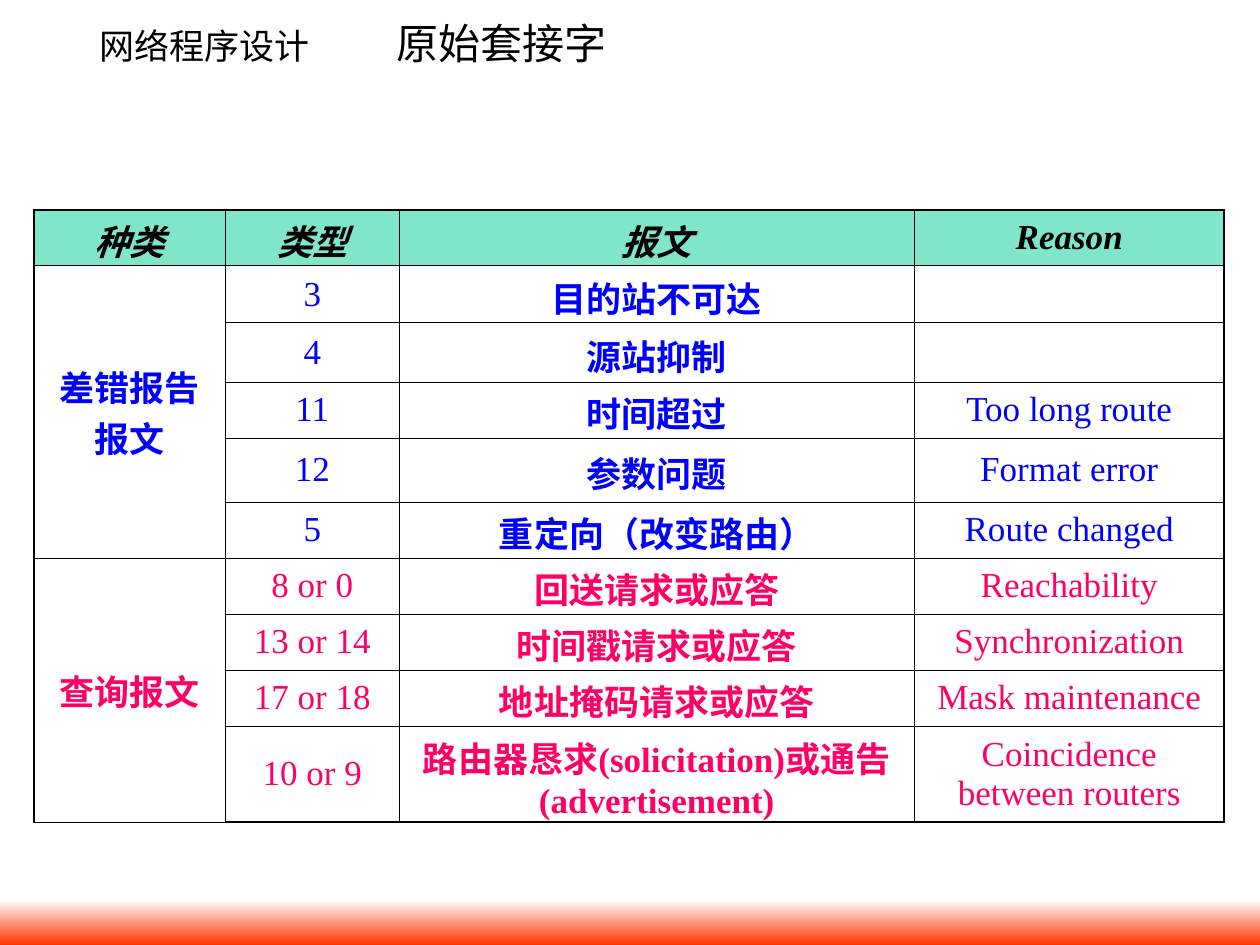
from lxml.etree import SubElement
from pptx import Presentation
from pptx.dml.color import RGBColor
from pptx.enum.shapes import MSO_SHAPE
from pptx.enum.text import MSO_ANCHOR, PP_ALIGN
from pptx.oxml.ns import qn
from pptx.util import Cm, Pt

BLACK, BLUE, PINK = "000000", "0000FF", "FF0066"
LATIN, CHINESE, JAPANESE = "Times New Roman", "Noto Sans CJK SC", "Noto Sans CJK JP"
THIN, THICK = 0.45, 1.08
COLUMN_WIDTHS = [3.85, 3.51, 10.38, 6.25]
ROW_HEIGHTS = [1.13, 1.15, 1.19, 1.13, 1.29, 1.13, 1.13, 1.13, 1.13, 1.94]
HEADINGS = ["种类", "类型", "报文", "Reason"]
GROUPS = [
    ("差错报告报文", BLUE, [
        ("3", "目的站不可达", ""),
        ("4", "源站抑制", ""),
        ("11", "时间超过", "Too long route"),
        ("12", "参数问题", "Format error"),
        ("5", "重定向（改变路由）", "Route changed"),
    ]),
    ("查询报文", PINK, [
        ("8 or 0", "回送请求或应答", "Reachability"),
        ("13 or 14", "时间戳请求或应答", "Synchronization"),
        ("17 or 18", "地址掩码请求或应答", "Mask maintenance"),
        ("10 or 9", "路由器恳求(solicitation)或通告(advertisement)",
         "Coincidence between routers"),
    ]),
]


def colour(value):
    return RGBColor.from_string(value)


def add_span(para, text, size, latin, asian, shade, bold=False, italic=False):
    span = para.add_run()
    span.text = text
    font = span.font
    font.size, font.name = Pt(size), latin
    font.bold, font.italic = bold, italic
    font.color.rgb = colour(shade)
    SubElement(font._element, qn("a:ea")).set("typeface", asian)


def add_header(page, left, top, width, height):
    box = page.shapes.add_textbox(Cm(left), Cm(top), Cm(width), Cm(height))
    frame = box.text_frame
    frame.word_wrap = True
    frame.margin_top = frame.margin_bottom = 0
    para = frame.paragraphs[0]
    tabs = SubElement(para._p.get_or_add_pPr(), qn("a:tabLst"))
    stop = SubElement(tabs, qn("a:tab"))
    stop.set("pos", str(Cm(6)))
    stop.set("algn", "l")
    add_span(para, "网络程序设计\t", 20, JAPANESE, JAPANESE, BLACK)
    add_span(para, "原始套接字", 24, CHINESE, CHINESE, BLACK)


def add_footer(page, left, top, width, height):
    band = page.shapes.add_shape(
        MSO_SHAPE.RECTANGLE, Cm(left), Cm(top), Cm(width), Cm(height))
    band.shadow.inherit = False
    band.line.fill.background()
    band.fill.gradient()
    band.fill.gradient_angle = 270
    for stop, shade in zip(band.fill.gradient_stops, ["FFFFFF", "FF3300"]):
        stop.color.rgb = colour(shade)


def set_borders(cell, outer):
    for side in "LRTB":
        line = SubElement(cell._tc.get_or_add_tcPr(), qn(f"a:ln{side}"))
        line.set("w", str(Pt(THICK if side in outer else THIN)))
        fill = SubElement(line, qn("a:solidFill"))
        SubElement(fill, qn("a:srgbClr")).set("val", BLACK)


def fill_heading(cell):
    cell.fill.solid()
    cell.fill.fore_color.rgb = colour("00CC99")
    shade = cell._tc.tcPr.find(f"{qn('a:solidFill')}/{qn('a:srgbClr')}")
    SubElement(shade, qn("a:alpha")).set("val", "50000")


def write_cell(cell, text, shade, bold, italic=False):
    para = cell.text_frame.paragraphs[0]
    para.alignment = PP_ALIGN.CENTER
    if text:
        add_span(para, text, 20, LATIN, CHINESE, shade, bold, italic)


def add_message_table(page, left, top):
    frame = page.shapes.add_table(
        len(ROW_HEIGHTS), len(COLUMN_WIDTHS), Cm(left), Cm(top),
        Cm(sum(COLUMN_WIDTHS)), Cm(sum(ROW_HEIGHTS)))
    table = frame.table
    table.first_row = table.horz_banding = False
    for column, width in zip(table.columns, COLUMN_WIDTHS):
        column.width = Cm(width)
    last_row, last_column = len(ROW_HEIGHTS) - 1, len(COLUMN_WIDTHS) - 1
    for i, row in enumerate(table.rows):
        row.height = Cm(ROW_HEIGHTS[i])
        for j, cell in enumerate(row.cells):
            edges = {"L": j == 0, "R": j == last_column, "T": i == 0, "B": i == last_row}
            set_borders(cell, [side for side, outer in edges.items() if outer])
            cell.fill.background()
            cell.vertical_anchor = MSO_ANCHOR.MIDDLE
            cell.margin_left = cell.margin_right = Cm(0.25)
            cell.margin_top = Cm(0.1 if j == 2 or i == 0 and j < 2 else 0)
            cell.margin_bottom = 0
    for j, heading in enumerate(HEADINGS):
        fill_heading(table.cell(0, j))
        write_cell(table.cell(0, j), heading, BLACK, True, True)
    start = 1
    for category, shade, messages in GROUPS:
        end = start + len(messages) - 1
        table.cell(start, 0).merge(table.cell(end, 0))
        write_cell(table.cell(start, 0), category, shade, True)
        for i, message in enumerate(messages, start):
            for j, text in enumerate(message, 1):
                write_cell(table.cell(i, j), text, shade, j == 2)
        start = end + 1


def main():
    deck = Presentation()
    deck.slide_width, deck.slide_height = Cm(25.4), Cm(19.05)
    page = deck.slides.add_slide(deck.slide_layouts[6])
    add_header(page, 1.75, 0.36, 21.79, 1.27)
    add_footer(page, 0, 18.14, 25.4, 0.91)
    add_message_table(page, 0.69, 4.23)
    deck.save("out.pptx")


if __name__ == "__main__":
    main()
